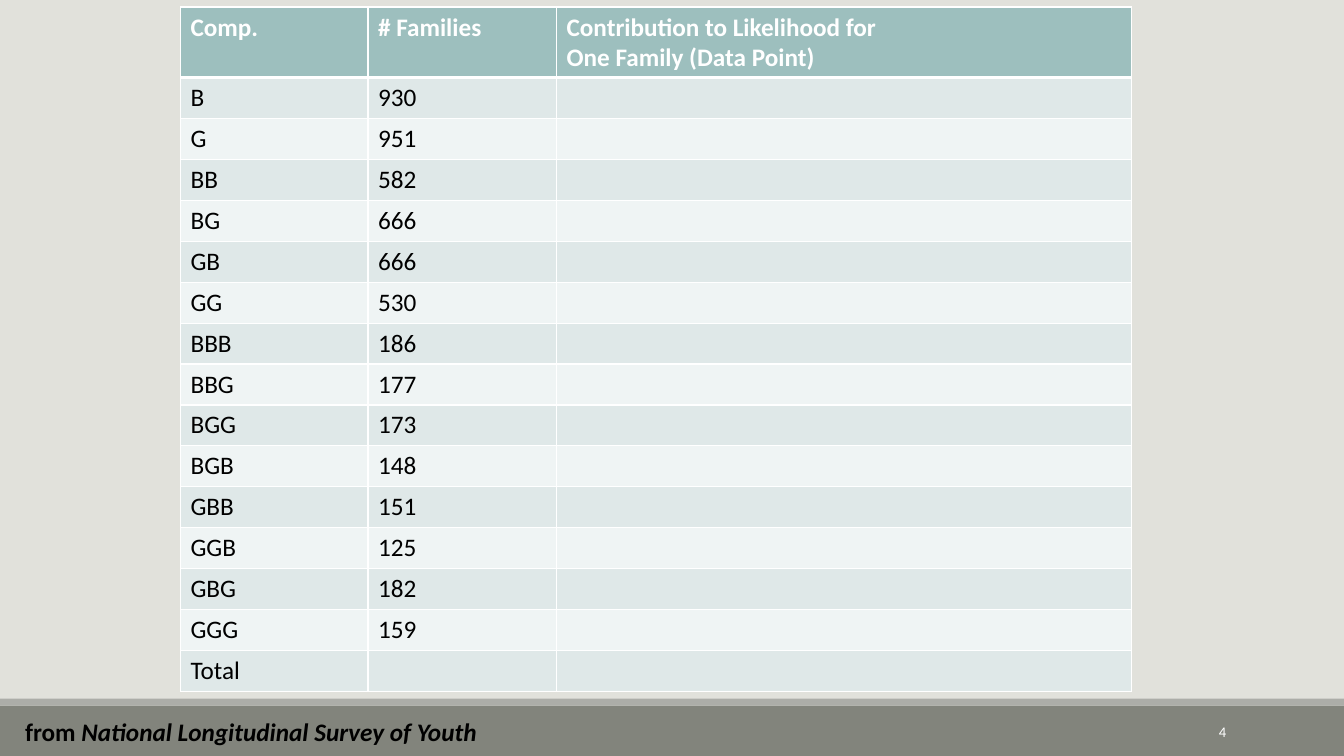
"""Build the slide of family compositions and their counts."""
from dataclasses import dataclass

import lxml.etree
import pptx
import pptx.dml.color
import pptx.enum.shapes
import pptx.enum.text
import pptx.oxml.ns
import pptx.util


@dataclass(frozen=True)
class Theme:
    font: str = "Calibri"
    backdrop: str = "E1E1DB"
    footer: str = "82847C"
    strip: str = "ACADA8"
    header: str = "9DBFBE"
    bands: tuple[str, str] = ("DFE8E8", "EFF4F4")
    light: str = "FFFFFF"
    dark: str = "000000"
    body_size: float = 18
    number_size: float = 10.5
    rule: float = 1
    header_rule: float = 3


@dataclass(frozen=True)
class Area:
    """Place on the slide, in percent of its width and height."""
    left: float
    top: float
    width: float
    height: float


@dataclass(frozen=True)
class Words:
    text: str
    color: str
    size: float
    bold: bool = False
    italic: bool = False


THEME = Theme()
WIDTH, HEIGHT = pptx.util.Inches(13.33), pptx.util.Inches(7.5)
FOOTER = Area(0, 93.33, 100, 6.67)
STRIP = Area(0, 92.4, 100, 0.93)
PAGE_NUMBER = Area(81.25, 94.13, 10.73, 5.33)
SOURCE = Area(1.13, 94.13, 47.19, 5.33)
FAMILIES = Area(13.43, 0.93, 70.74, 90.4)
ROWS_SHARE = 86.67
COLUMN_SHARES = (13.95, 14.03, 42.76)
HEADINGS = ("Comp.", "# Families", "Contribution to Likelihood for \nOne Family (Data Point)")
COUNTS = {
    "B": "930", "G": "951",
    "BB": "582", "BG": "666", "GB": "666", "GG": "530",
    "BBB": "186", "BBG": "177", "BGG": "173", "BGB": "148",
    "GBB": "151", "GGB": "125", "GBG": "182", "GGG": "159",
    "Total": "",
}


def across(share: float) -> int:
    return round(WIDTH * share / 100)


def down(share: float) -> int:
    return round(HEIGHT * share / 100)


def place(area: Area) -> tuple[int, int, int, int]:
    return across(area.left), down(area.top), across(area.width), down(area.height)


def paint(fill, color: str) -> None:
    fill.solid()
    fill.fore_color.rgb = pptx.dml.color.RGBColor.from_string(color)


def write(paragraph, words: Words) -> None:
    for index, line in enumerate(words.text.split("\n")):
        if index:
            paragraph.add_line_break()
        run = paragraph.add_run()
        run.text = line
        run.font.name = THEME.font
        run.font.size = pptx.util.Pt(words.size)
        run.font.bold = words.bold
        run.font.italic = words.italic
        run.font.color.rgb = pptx.dml.color.RGBColor.from_string(words.color)


def draw_bar(slide, area: Area, color: str) -> None:
    bar = slide.shapes.add_shape(pptx.enum.shapes.MSO_SHAPE.RECTANGLE, *place(area))
    bar.shadow.inherit = False
    paint(bar.fill, color)
    bar.line.fill.background()


def draw_label(slide, area: Area, phrases: list[Words], align) -> None:
    frame = slide.shapes.add_textbox(*place(area)).text_frame
    frame.word_wrap = True
    frame.vertical_anchor = pptx.enum.text.MSO_ANCHOR.MIDDLE
    paragraph = frame.paragraphs[0]
    paragraph.alignment = align
    for phrase in phrases:
        write(paragraph, phrase)


def draw_borders(cell, row: int) -> None:
    properties = cell._tc.get_or_add_tcPr()
    weights = {
        "lnL": THEME.rule,
        "lnR": THEME.rule,
        "lnT": THEME.header_rule if row == 1 else THEME.rule,
        "lnB": THEME.header_rule if row == 0 else THEME.rule,
    }
    qn = pptx.oxml.ns.qn
    for index, (side, weight) in enumerate(weights.items()):
        border = lxml.etree.Element(qn(f"a:{side}"), w=str(pptx.util.Pt(weight)))
        solid = lxml.etree.SubElement(border, qn("a:solidFill"))
        lxml.etree.SubElement(solid, qn("a:srgbClr"), val=THEME.light)
        properties.insert(index, border)


def draw_families(slide) -> None:
    records = [HEADINGS, *((composition, count, "") for composition, count in COUNTS.items())]
    left, top, width, height = place(FAMILIES)
    frame = slide.shapes.add_table(
        len(records), len(HEADINGS), left, top, width, down(ROWS_SHARE))
    for column, share in zip(frame.table.columns, COLUMN_SHARES):
        column.width = across(share)
    frame.height = height
    for row, record in enumerate(records):
        heading = row == 0
        for column, text in enumerate(record):
            cell = frame.table.cell(row, column)
            paint(cell.fill, THEME.header if heading else THEME.bands[(row - 1) % 2])
            draw_borders(cell, row)
            if text:
                color = THEME.light if heading else THEME.dark
                write(cell.text_frame.paragraphs[0],
                      Words(text, color, THEME.body_size, bold=heading))


def main() -> None:
    deck = pptx.Presentation()
    deck.slide_width, deck.slide_height = WIDTH, HEIGHT
    slide = deck.slides.add_slide(deck.slide_layouts[6])
    paint(slide.background.fill, THEME.backdrop)
    draw_bar(slide, FOOTER, THEME.footer)
    draw_bar(slide, STRIP, THEME.strip)
    draw_label(slide, PAGE_NUMBER, [Words("4", THEME.light, THEME.number_size)],
               pptx.enum.text.PP_ALIGN.RIGHT)
    draw_families(slide)
    draw_label(slide, SOURCE, [
        Words("from ", THEME.dark, THEME.body_size, bold=True),
        Words("National Longitudinal Survey of Youth", THEME.dark, THEME.body_size,
              bold=True, italic=True),
    ], pptx.enum.text.PP_ALIGN.LEFT)
    deck.save("out.pptx")


if __name__ == "__main__":
    main()
